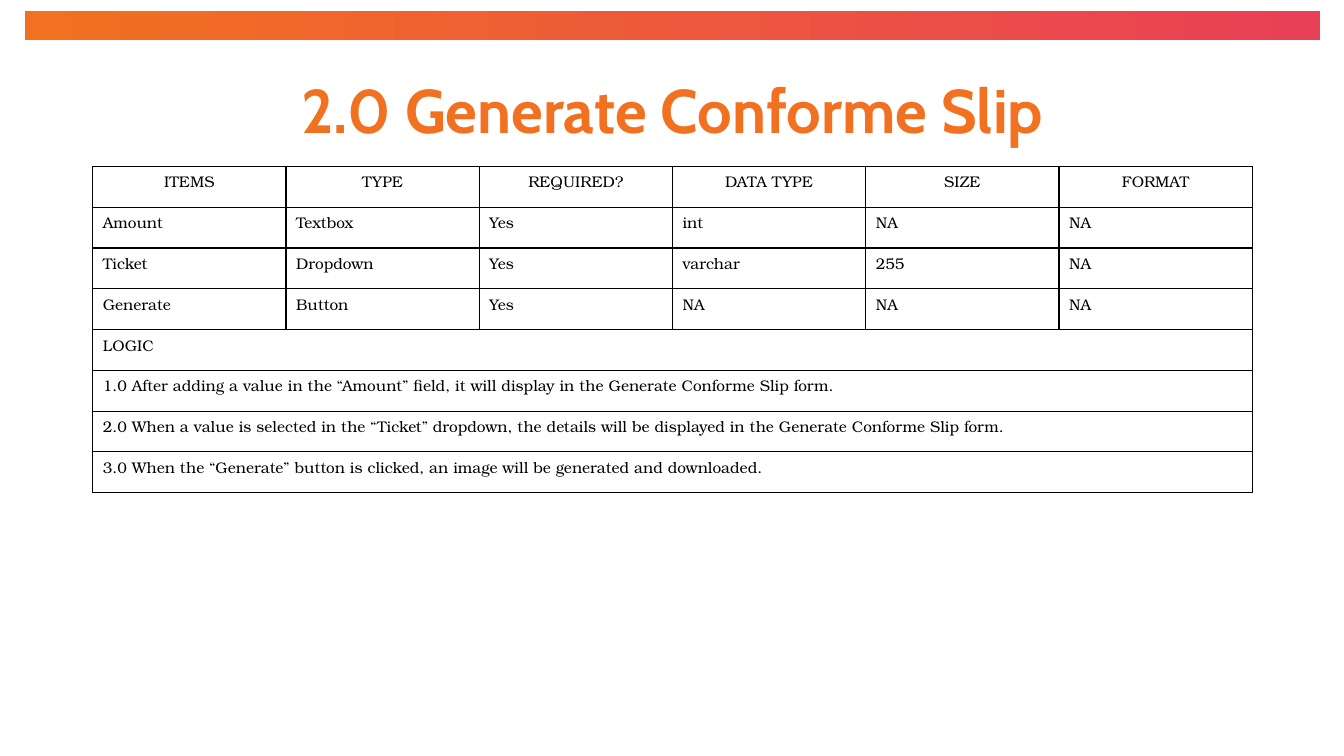
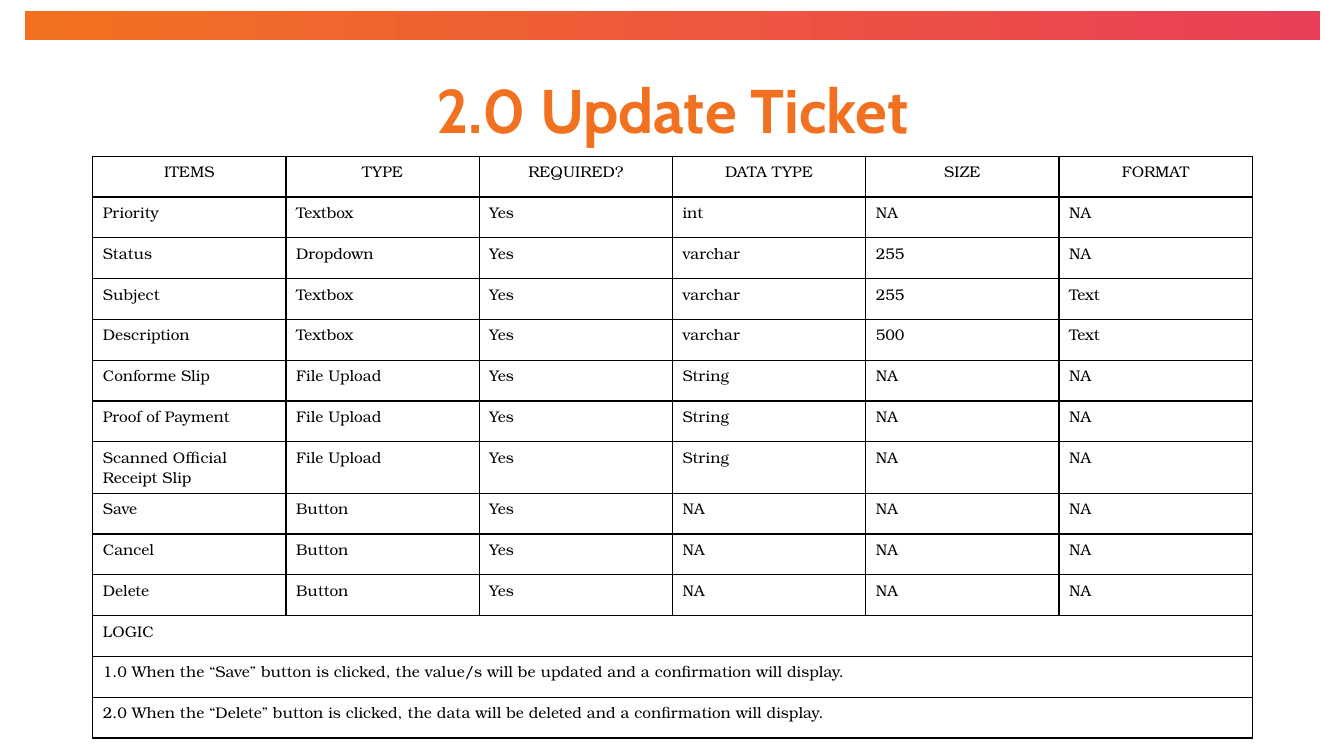
from dataclasses import dataclass

from lxml import etree
from pptx import Presentation
from pptx.dml.color import RGBColor
from pptx.enum.shapes import MSO_SHAPE
from pptx.enum.text import MSO_ANCHOR, MSO_AUTO_SIZE, PP_ALIGN
from pptx.oxml.ns import qn
from pptx.util import Inches, Pt

RECT = MSO_SHAPE.RECTANGLE
MIDDLE = MSO_ANCHOR.MIDDLE
NO_AUTOFIT = MSO_AUTO_SIZE.NONE
LEFT, CENTER = PP_ALIGN.LEFT, PP_ALIGN.CENTER


@dataclass(frozen=True)
class Theme:
    orange: RGBColor = RGBColor(0xF2, 0x71, 0x20)
    pink: RGBColor = RGBColor(0xE9, 0x40, 0x57)
    ink: RGBColor = RGBColor(0, 0, 0)
    title_font: str = "Cabin"
    title_size: Pt = Pt(44)
    table_font: str = "TeX Gyre Bonum"
    table_size: Pt = Pt(11)
    border: Pt = Pt(1)


THEME = Theme()

# Shared geometry
MARGIN, CONTENT_W = Inches(0.92), Inches(11.5)
ROW_H = Inches(3.24) // 8

# Content
HEADERS = ["ITEMS", "TYPE", "REQUIRED?", "DATA TYPE", "SIZE", "FORMAT"]
SLIDES = [
    {
        "title": "2.0 Generate Conforme Slip",
        "top": Inches(1.65),
        "fields": [
            ["Amount", "Textbox", "Yes", "int", "NA", "NA"],
            ["Ticket", "Dropdown", "Yes", "varchar", "255", "NA"],
            ["Generate", "Button", "Yes", "NA", "NA", "NA"],
        ],
        "logic": [
            "1.0 After adding a value in the “Amount” field, it will display "
            "in the Generate Conforme Slip form.",
            "2.0 When a value is selected in the “Ticket” dropdown, the details "
            "will be displayed in the Generate Conforme Slip form.",
            "3.0 When the “Generate” button is clicked, an image will be "
            "generated and downloaded.",
        ],
    },
    {
        "title": "2.0 Update Ticket",
        "top": Inches(1.55),
        "fields": [
            ["Priority", "Textbox", "Yes", "int", "NA", "NA"],
            ["Status", "Dropdown", "Yes", "varchar", "255", "NA"],
            ["Subject", "Textbox", "Yes", "varchar", "255", "Text"],
            ["Description", "Textbox", "Yes", "varchar", "500", "Text"],
            ["Conforme Slip", "File Upload", "Yes", "String", "NA", "NA"],
            ["Proof of Payment", "File Upload", "Yes", "String", "NA", "NA"],
            ["Scanned Official Receipt Slip", "File Upload", "Yes", "String", "NA", "NA"],
            ["Save", "Button", "Yes", "NA", "NA", "NA"],
            ["Cancel", "Button", "Yes", "NA", "NA", "NA"],
            ["Delete", "Button", "Yes", "NA", "NA", "NA"],
        ],
        "logic": [
            "1.0 When the “Save” button is clicked, the value/s will be updated "
            "and a confirmation will display.",
            "2.0 When the “Delete” button is clicked, the data will be deleted "
            "and a confirmation will display.",
        ],
    },
]


def fill_gradient(fill):
    """Run the theme gradient from left to right."""
    fill.gradient()
    fill.gradient_angle = 0
    for stop, color in zip(fill.gradient_stops, (THEME.orange, THEME.pink)):
        stop.color.rgb = color


def add_layout_band(layout, slide):
    """Draw the top band and hand it to the layout, so every slide shows it."""
    band = slide.shapes.add_shape(RECT, Inches(0.25), Inches(0.11), Inches(12.84), Inches(0.29))
    band.shadow.inherit = False
    band.line.fill.background()
    fill_gradient(band.fill)
    band.element.nvSpPr.cNvPr.set("id", "20")
    layout.shapes.element.append(band.element)


def set_title(slide, text):
    title = slide.shapes.title
    title.left, title.top = MARGIN, Inches(0.4)
    title.width, title.height = CONTENT_W, Inches(1.45)
    tf = title.text_frame
    tf.text = text
    tf.word_wrap = True
    tf.auto_size = NO_AUTOFIT
    tf.vertical_anchor = MIDDLE
    p = tf.paragraphs[0]
    p.alignment = CENTER
    p.line_spacing = 0.9
    font = p.runs[0].font
    font.name, font.size, font.bold = THEME.title_font, THEME.title_size, True
    fill_gradient(font.fill)


def set_borders(cell):
    tc_pr = cell._tc.get_or_add_tcPr()
    for side in ("a:lnL", "a:lnR", "a:lnT", "a:lnB"):
        ln = etree.SubElement(tc_pr, qn(side), w=str(THEME.border))
        solid = etree.SubElement(ln, qn("a:solidFill"))
        etree.SubElement(solid, qn("a:srgbClr"), val=str(THEME.ink))


def set_cell_text(cell, text, align):
    cell.text_frame.text = text
    p = cell.text_frame.paragraphs[0]
    p.alignment = align
    font = p.runs[0].font
    font.name, font.size = THEME.table_font, THEME.table_size
    font.color.rgb = THEME.ink


def add_field_table(slide, top, fields, logic):
    """Header and field rows, then logic rows that span every column."""
    rows = [HEADERS, *fields, ["LOGIC"], *([line] for line in logic)]
    n_cols = len(HEADERS)
    table = slide.shapes.add_table(
        len(rows), n_cols, MARGIN, top, CONTENT_W, ROW_H * len(rows)).table
    table.first_row = table.horz_banding = False
    for cell in table.iter_cells():
        set_borders(cell)
        cell.fill.background()
    for i, texts in enumerate(rows):
        if len(texts) == 1:
            table.cell(i, 0).merge(table.cell(i, n_cols - 1))
        for j, text in enumerate(texts):
            set_cell_text(table.cell(i, j), text, LEFT if i else CENTER)


def main():
    prs = Presentation()
    prs.slide_width, prs.slide_height = Inches(13.33), Inches(7.5)
    layout = prs.slide_layouts.get_by_name("Title Only")
    for i, content in enumerate(SLIDES):
        s = prs.slides.add_slide(layout)
        if i == 0:
            add_layout_band(layout, s)
        set_title(s, content["title"])
        add_field_table(s, content["top"], content["fields"], content["logic"])
    prs.save("out.pptx")


if __name__ == "__main__":
    main()
